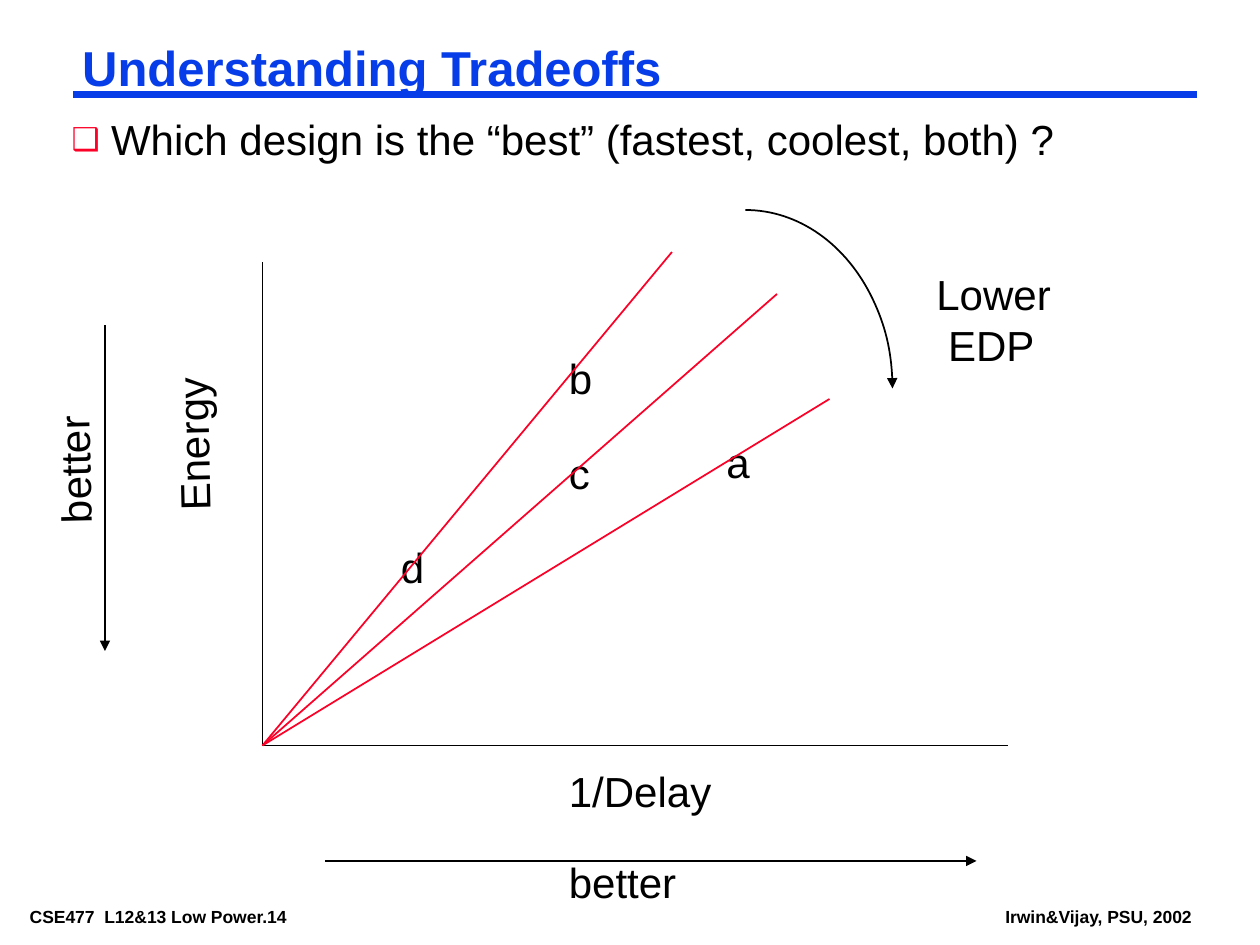
from lxml.etree import SubElement
from pptx import Presentation
from pptx.dml.color import RGBColor
from pptx.enum.shapes import MSO_CONNECTOR, MSO_SHAPE
from pptx.enum.text import MSO_ANCHOR, MSO_AUTO_SIZE, PP_ALIGN
from pptx.oxml.ns import qn
from pptx.util import Pt

BLACK, BLUE, RED = "000000", "063DE8", "FC0128"
TIGHT, LOOSE = (5, 2), (7.2, 3.6)

TITLE = "Understanding Tradeoffs"
QUESTION = "Which design is the “best” (fastest, coolest, both) ?"
FOOTERS = [
    ("CSE477  L12&13 Low Power.14", (12, 516, 195, 16)),
    ("Irwin&Vijay, PSU, 2002", (569.5, 516, 117, 16)),
]
LABELS = [
    ("Energy", (65, 236, 90, 36), 268.7),
    ("better", (4.5, 250.5, 75.5, 36), 268.7),
    ("1/Delay", (318, 434, 96, 36), 0),
    ("better", (318, 486, 75.5, 36), 0),
    ("Lower\n EDP", (528, 150, 96, 65), 0),
]
DESIGNS = {"a": (408, 246), "b": (318, 198), "c": (318, 252), "d": (222, 306)}
ORIGIN = (150, 426)
AXIS_ENDS = [(576, 426), (150, 150)]
EDP_LINE_ENDS = [(384, 144), (444, 168), (474, 228)]
BETTER_ARROWS = [((60, 186), (60, 372)), ((186, 492), (558, 492))]
LOWER_EDP_ARC = (342, 120, 168, 204)


def rgb(hex_code):
    return RGBColor.from_string(hex_code)


def place(shape, box):
    shape.left, shape.top, shape.width, shape.height = map(Pt, box)


def write(shape, text, size=24, color=BLACK, bold=False, insets=LOOSE,
          spacing=1.0, wrap=False, bullet=None):
    frame = shape.text_frame
    frame.auto_size = MSO_AUTO_SIZE.NONE
    frame.word_wrap = wrap
    frame.vertical_anchor = MSO_ANCHOR.TOP
    frame.margin_left = frame.margin_right = Pt(insets[0])
    frame.margin_top = frame.margin_bottom = Pt(insets[1])
    frame.text = text
    for paragraph in frame.paragraphs:
        if bullet:
            add_bullet(paragraph, bullet)
        paragraph.alignment = PP_ALIGN.LEFT
        paragraph.line_spacing = spacing
        paragraph.space_before = Pt(0)
        font = paragraph.font
        font.name, font.size, font.bold = "Arial", Pt(size), bold
        font.color.rgb = rgb(color)


def add_bullet(paragraph, mark, indent=22.5):
    properties = paragraph._p.get_or_add_pPr()
    properties.set("marL", str(Pt(indent)))
    properties.set("indent", str(Pt(-indent)))
    color = SubElement(properties, qn("a:buClr"))
    SubElement(color, qn("a:srgbClr"), val=RED)
    SubElement(properties, qn("a:buSzPct"), val="75000")
    SubElement(properties, qn("a:buFont"), typeface="Arial")
    SubElement(properties, qn("a:buChar"), char=mark)


def add_text(slide, text, box, rotation=0, **text_format):
    label = slide.shapes.add_textbox(*map(Pt, box))
    label.rotation = rotation
    write(label, text, **text_format)


def style_line(shape, color, width, arrow):
    shape.line.color.rgb = rgb(color)
    shape.line.width = Pt(width)
    if arrow:
        SubElement(shape.line._get_or_add_ln(), qn("a:tailEnd"), type="triangle")


def add_line(slide, start, end, color=BLACK, width=1, arrow=False):
    line = slide.shapes.add_connector(
        MSO_CONNECTOR.STRAIGHT, *map(Pt, start + end))
    style_line(line, color, width, arrow)
    SubElement(line._element.spPr, qn("a:effectLst"))


def add_arc(slide, box):
    arc = slide.shapes.add_shape(MSO_SHAPE.ARC, *map(Pt, box))
    arc.fill.background()
    style_line(arc, BLACK, 1, arrow=True)
    arc.shadow.inherit = False


def main():
    """Build the slide on energy and delay tradeoffs."""
    deck = Presentation()
    deck.slide_width, deck.slide_height = Pt(720), Pt(540)
    slide = deck.slides.add_slide(deck.slide_layouts[1])
    title, question = slide.placeholders

    place(title, (42, 24, 642, 33))
    write(title, TITLE, size=28, color=BLUE, bold=True, insets=TIGHT,
          spacing=0.87, wrap=True)
    place(question, (36, 66, 660, 30))
    write(question, QUESTION, insets=TIGHT, spacing=0.9, wrap=True, bullet="❑")
    add_line(slide, (42, 54), (684, 54), color=BLUE, width=4.5)

    for text, box in FOOTERS:
        add_text(slide, text, box, size=10, bold=True, insets=TIGHT)
    for text, box, rotation in LABELS:
        add_text(slide, text, box, rotation)
    for name, corner in DESIGNS.items():
        add_text(slide, name, corner + (28, 36))

    for end in AXIS_ENDS:
        add_line(slide, ORIGIN, end)
    for end in EDP_LINE_ENDS:
        add_line(slide, ORIGIN, end, color=RED)
    for start, end in BETTER_ARROWS:
        add_line(slide, start, end, arrow=True)
    add_arc(slide, LOWER_EDP_ARC)

    deck.save("out.pptx")


if __name__ == "__main__":
    main()
